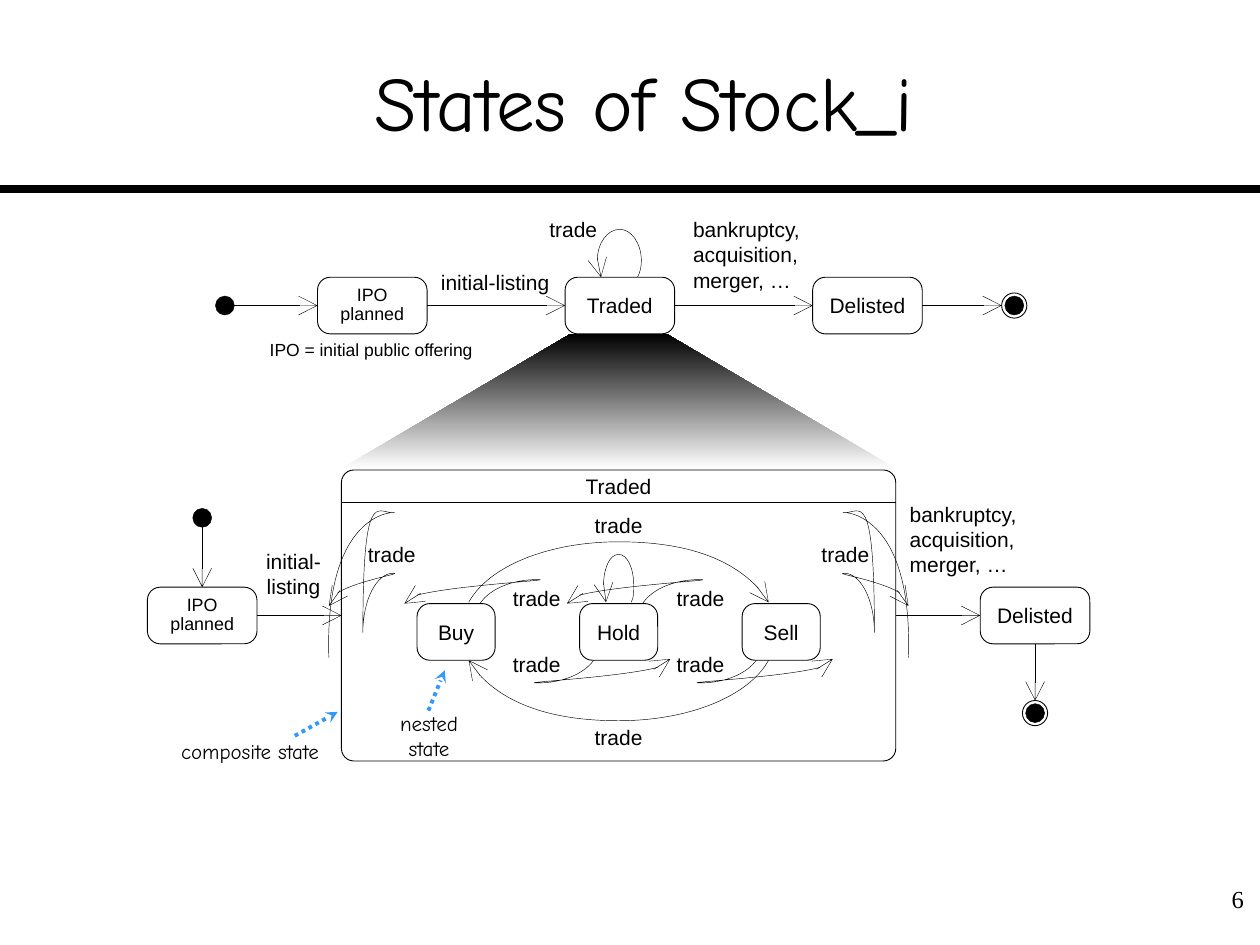
from dataclasses import dataclass

from lxml.etree import SubElement
from pptx import Presentation
from pptx.dml.color import RGBColor
from pptx.enum.dml import MSO_LINE
from pptx.enum.shapes import MSO_CONNECTOR, MSO_SHAPE
from pptx.enum.text import MSO_ANCHOR, MSO_AUTO_SIZE, PP_ALIGN
from pptx.oxml.ns import qn
from pptx.util import Inches, Pt


@dataclass(frozen=True)
class Theme:
    ink: RGBColor = RGBColor(0, 0, 0)
    paper: RGBColor = RGBColor(255, 255, 255)
    accent: RGBColor = RGBColor(0x33, 0x99, 0xFF)
    sans: str = "Arial"
    hand: str = "Comic Neue"
    serif: str = "Times New Roman"
    title: float = 44
    number: float = 14
    body: float = 12
    small: float = 10.2
    note: float = 10
    hairline: float = 0.25
    outline: float = 0.5
    pointer: float = 2.25
    rule: float = 4.5


T = Theme()
TOP, LEFT, BOTTOM, RIGHT = range(4)
STATE_W, STATE_H, NESTED_W = 0.87, 0.45, 0.62
DOT, RING = 0.15, 0.2
EXIT_EVENTS = "bankruptcy, acquisition, merger, …"


def write(tf, text, size=T.body, font=T.sans, align=PP_ALIGN.CENTER, spacing=None):
    for i, line in enumerate(text.split("\n")):
        p = tf.paragraphs[0] if i == 0 else tf.add_paragraph()
        p.alignment, p.line_spacing = align, spacing
        r = p.add_run()
        r.text = line
        r.font.size, r.font.name = Pt(size), font
        r.font.color.rgb = T.ink


def set_margins(tf, side, end):
    tf.margin_left = tf.margin_right = Inches(side)
    tf.margin_top = tf.margin_bottom = Inches(end)


def label(shapes, x, y, w, h, text, wrap=False, **style):
    tf = shapes.add_textbox(Inches(x), Inches(y), Inches(w), Inches(h)).text_frame
    set_margins(tf, 0.01, 0)
    tf.word_wrap = wrap
    tf.auto_size = MSO_AUTO_SIZE.SHAPE_TO_FIT_TEXT
    write(tf, text, **style)


def outlined(shapes, kind, x, y, w, h, fill=T.paper, width=T.outline):
    sp = shapes.add_shape(kind, Inches(x), Inches(y), Inches(w), Inches(h))
    sp.shadow.inherit = False
    sp.fill.solid()
    sp.fill.fore_color.rgb = fill
    sp.line.color.rgb = T.ink
    sp.line.width = Pt(width)
    return sp


def state(shapes, x, y, text, w=STATE_W, wrap=True, **style):
    sp = outlined(shapes, MSO_SHAPE.ROUNDED_RECTANGLE, x, y, w, STATE_H)
    sp.adjustments[0] = 0.227
    tf = sp.text_frame
    tf.word_wrap = wrap
    tf.vertical_anchor = MSO_ANCHOR.MIDDLE
    write(tf, text, **style)
    return sp


def ipo_state(shapes, x, y):
    return state(shapes, x, y, "IPO planned", size=T.small, spacing=0.9)


def dot(shapes, cx, cy):
    outlined(shapes, MSO_SHAPE.OVAL, cx - DOT / 2, cy - DOT / 2, DOT, DOT, T.ink, T.hairline)


def final_state(shapes, cx, cy):
    outlined(shapes, MSO_SHAPE.OVAL, cx - RING / 2, cy - RING / 2, RING, RING)
    dot(shapes, cx, cy)


def add_head(sp, kind="arrow", size="lg"):
    ln = sp.element.spPr.find(qn("a:ln"))
    SubElement(ln, qn("a:tailEnd"), type=kind, w=size, len=size)


def line(shapes, start, end, width=T.hairline, color=T.ink):
    s = shapes.add_connector(MSO_CONNECTOR.STRAIGHT, *map(Inches, start + end))
    s.line.color.rgb = color
    s.line.width = Pt(width)
    SubElement(s.element.spPr, qn("a:effectLst"))
    return s


def arrow(shapes, start, end, source=None, target=None):
    """Draw a transition; source and target are optional (shape, side) joints."""
    s = line(shapes, start, end)
    if source:
        s.begin_connect(*source)
    if target:
        s.end_connect(*target)
    add_head(s)


def pointer(shapes, start, end):
    s = line(shapes, start, end, T.pointer, T.accent)
    s.line.dash_style = MSO_LINE.ROUND_DOT
    add_head(s, "stealth", "med")


def polyline(shapes, points, close):
    pts = [(Inches(x), Inches(y)) for x, y in points]
    builder = shapes.build_freeform(*pts[0])
    builder.add_line_segments(pts[1:], close=close)
    sp = builder.convert_to_shape()
    sp.shadow.inherit = False
    return sp


def curve(shapes, points):
    """Draw a curved arrow: a start point, then three Bézier points per segment."""
    sp = polyline(shapes, points, close=False)
    sp.fill.background()
    sp.line.color.rgb = T.ink
    sp.line.width = Pt(T.hairline)
    add_head(sp)
    outline = next(sp.element.iter(qn("a:path")))
    steps = outline.findall(qn("a:lnTo"))
    for i in range(0, len(steps), 3):
        bezier = SubElement(outline, qn("a:cubicBezTo"))
        for step in steps[i:i + 3]:
            bezier.append(step[0])
            outline.remove(step)


def header(shapes, x, y, w, h):
    line(shapes, (0, 1.5), (10, 1.5), T.rule)
    tf = shapes.add_textbox(Inches(x), Inches(y), Inches(w), Inches(h)).text_frame
    set_margins(tf, 0, 0.05)
    tf.word_wrap = True
    tf.vertical_anchor = MSO_ANCHOR.MIDDLE
    write(tf, "States of Stock_i", T.title, T.hand)


def page_number(shapes, x, y, w, h):
    tf = shapes.add_textbox(Inches(x), Inches(y), Inches(w), Inches(h)).text_frame
    tf.word_wrap = True
    write(tf, "6", T.number, T.serif, PP_ALIGN.RIGHT)


def overview(shapes, x, y):
    """Lifecycle in one row, starting at the left edge of the first state."""
    pitch, mid = 1.965, y + STATE_H / 2
    loop = [(2.54, 0), (2.56, -.04), (2.57, -.08), (2.57, -.13), (2.57, -.27), (2.49, -.38),
            (2.4, -.38), (2.3, -.38), (2.22, -.27), (2.22, -.13), (2.22, -.08), (2.23, -.04),
            (2.25, 0)]
    curve(shapes, [(x + dx, y + dy) for dx, dy in loop])
    ipo = ipo_state(shapes, x, y)
    traded = state(shapes, x + pitch, y, "Traded")
    delisted = state(shapes, x + 2 * pitch, y, "Delisted")
    dot(shapes, x - 0.735, mid)
    final_state(shapes, x + 5.53, mid)
    arrow(shapes, (x - 0.66, mid), (x, mid), target=(ipo, LEFT))
    for i, (a, b) in enumerate([(ipo, traded), (traded, delisted)]):
        arrow(shapes, (x + i * pitch + STATE_W, mid), (x + (i + 1) * pitch, mid),
              (a, RIGHT), (b, LEFT))
    arrow(shapes, (x + 2 * pitch + STATE_W, mid), (x + 5.43, mid), source=(delisted, RIGHT))
    label(shapes, x + 0.91, y - 0.06, 1, 0.2, "initial-listing")
    label(shapes, x + 1.83, y - 0.48, 0.4, 0.2, "trade")
    label(shapes, x + 2.97, y - 0.48, 0.91, 0.6, EXIT_EVENTS, wrap=True, align=PP_ALIGN.LEFT)
    label(shapes, x - 0.39, y + 0.49, 1.63, 0.17, "IPO = initial public offering", size=T.note)


def zoom_beam(shapes, x, y, w, h):
    inset = 1.82
    sp = polyline(shapes, [(x, y + h), (x + inset, y), (x + w - inset, y), (x + w, y + h)], True)
    sp.fill.gradient()
    sp.fill.gradient_angle = 90
    for stop, color in zip(sp.fill.gradient_stops, (T.paper, T.ink)):
        stop.color.rgb = color
    sp.line.fill.background()


def composite(shapes, x, y, w, h):
    frame = outlined(shapes, MSO_SHAPE.ROUNDED_RECTANGLE, x, y, w, h)
    frame.adjustments[0] = 0.043
    tf = frame.text_frame
    set_margins(tf, 0.1, 0)
    tf.word_wrap = False
    tf.vertical_anchor = MSO_ANCHOR.TOP
    write(tf, "Traded")
    line(shapes, (x, y + 0.26), (x + w, y + 0.26))
    nested_states(shapes.add_group_shape().shapes, x, y, w)
    return frame


def nested_states(shapes, x, y, w):
    pitch, mid = 1.29, 1.28
    long_arc = [(1.01, 1.05), (1.17, .76), (1.65, .57), (2.2, .57),
                (2.75, .57), (3.23, .76), (3.39, 1.05)]
    short_arc = [(1.1, 1.06), (1.18, .94), (1.36, .87), (1.55, .87),
                 (1.75, .87), (.42, .94), (.5, 1.06)]
    next_arc = [(dx + pitch, dy) for dx, dy in short_arc]
    side_loop = [(-.1, 1.49), (-.14, .24), (.51, .34), (.41, .34), (.28, .34), (.17, .13),
                 (.17, 1.29), (.17, 1.03), (.28, .82), (.41, .82), (.5, .82), (-.14, .92),
                 (-.1, 1.08)]
    hold_loop = [(2.3, 1.05), (2.32, 1.01), (2.32, .97), (2.32, .92), (2.32, .78), (2.27, .67),
                 (2.2, .67), (2.13, .67), (2.08, .78), (2.08, .92), (2.08, .97), (2.08, 1.01),
                 (2.1, 1.05)]
    curves = [hold_loop, side_loop, [(w - dx, dy) for dx, dy in side_loop]]
    for arc in (long_arc, short_arc, next_arc):
        curves += [arc, [(w - dx, 2 * mid - dy) for dx, dy in arc]]
    for points in curves:
        curve(shapes, [(x + dx, y + dy) for dx, dy in points])
    for i, name in enumerate(("Buy", "Hold", "Sell")):
        state(shapes, x + 0.6 + i * pitch, y + 1.06, name, w=NESTED_W, wrap=False)
    for dx, dy in [(2, .34), (2, 2.02), (.2, .57), (3.8, .57),
                   (1.35, .92), (2.65, .92), (1.35, 1.44), (2.65, 1.44)]:
        label(shapes, x + dx, y + dy, 0.4, 0.2, "trade")


def detail(shapes, x, y, w, h):
    """Lifecycle around the composite state, which fills the given box."""
    frame = composite(shapes, x, y, w, h)
    mid = y + h / 2
    top, bottom = mid - STATE_H / 2, mid + STATE_H / 2
    ipo_x, delisted_x = x - 1.54, x + w + 0.67
    ipo = ipo_state(shapes, ipo_x, top)
    delisted = state(shapes, delisted_x, top, "Delisted")
    start_cx, end_cx = ipo_x + STATE_W / 2, delisted_x + STATE_W / 2
    dot(shapes, start_cx, y + 0.38)
    final_state(shapes, end_cx, y + 1.93)
    arrow(shapes, (start_cx, y + 0.45), (start_cx, top), target=(ipo, TOP))
    arrow(shapes, (ipo_x + STATE_W, mid), (x, mid), (ipo, RIGHT), (frame, LEFT))
    arrow(shapes, (x + w, mid), (delisted_x, mid), (frame, RIGHT), (delisted, LEFT))
    arrow(shapes, (end_cx, bottom), (end_cx, y + 1.83), source=(delisted, BOTTOM))
    label(shapes, x - 0.61, y + 0.62, 0.46, 0.4, "initial-\nlisting")
    label(shapes, x + w + 0.1, y + 0.25, 0.91, 0.6, EXIT_EVENTS, wrap=True, align=PP_ALIGN.LEFT)
    pointer(shapes, (x - 0.37, y + 2.11), (x - 0.03, y + 1.92))
    label(shapes, x - 1.29, y + 2.13, 1.13, 0.2, "composite state", font=T.hand)
    pointer(shapes, (x + 0.69, y + 1.91), (x + 0.82, y + 1.59))
    label(shapes, x + 0.45, y + 1.91, 0.49, 0.4, "nested\nstate", font=T.hand)


def main():
    prs = Presentation()
    prs.slide_width, prs.slide_height = Inches(10), Inches(7.5)
    shapes = prs.slides.add_slide(prs.slide_layouts[6]).shapes
    header(shapes, 0.42, 0.17, 9.38, 1.25)
    page_number(shapes, 9.35, 6.97, 0.62, 0.5)
    zoom_beam(shapes, 2.71, 2.65, 4.4, 1.07)
    overview(shapes, 2.52, 2.2)
    detail(shapes, 2.71, 3.73, 4.4, 2.31)
    prs.save("out.pptx")


if __name__ == "__main__":
    main()
